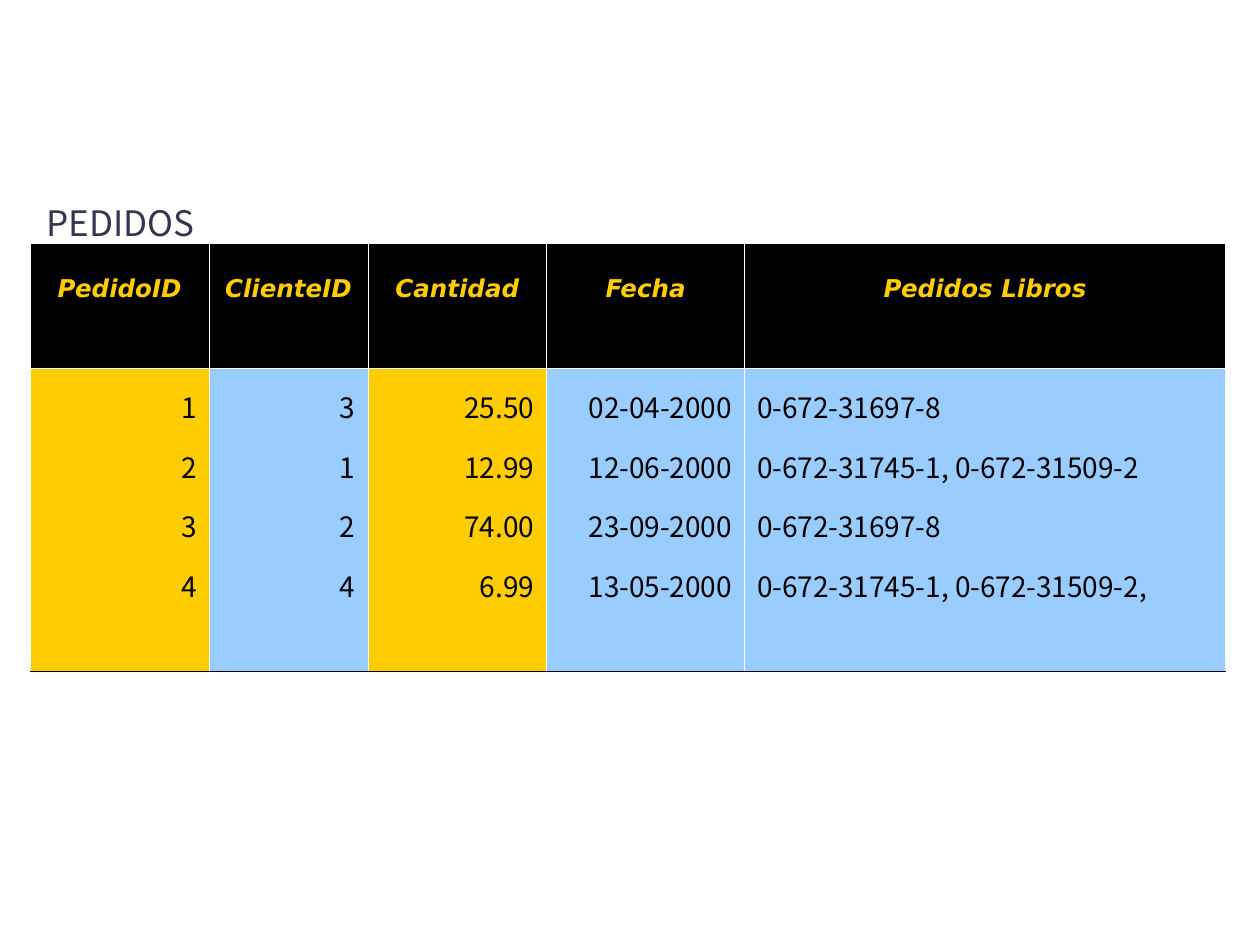
import dataclasses

import lxml.etree
import pptx
import pptx.dml.color
import pptx.enum.text
import pptx.oxml.ns
import pptx.util

Inches = pptx.util.Inches
Pt = pptx.util.Pt
Align = pptx.enum.text.PP_ALIGN
Anchor = pptx.enum.text.MSO_ANCHOR


@dataclasses.dataclass(frozen=True)
class TextStyle:
    font: str
    size: float
    color: str
    emphasis: bool = False
    space_before: float = 0
    line_spacing: float = 0


@dataclasses.dataclass(frozen=True)
class Theme:
    black: str = "000000"
    white: str = "FFFFFF"
    gold: str = "FFCC00"
    sky: str = "99CCFF"
    thin_line: float = 0.45
    thick_line: float = 1.08
    title: TextStyle = TextStyle("Noto Sans CJK KR", 20, "333651")
    header: TextStyle = TextStyle("DejaVu Sans", 14, "FFCC00", True, 3.5, 30)
    body: TextStyle = TextStyle("Noto Sans CJK KR", 16, "000000", False, 4, 30)


@dataclasses.dataclass(frozen=True)
class Column:
    heading: str
    width: float
    fill: str
    alignment: Align
    values: tuple


class SlideBuilder:
    def __init__(self, presentation, theme):
        self.theme = theme
        self.slide = presentation.slides.add_slide(presentation.slide_layouts[5])

    def set_text(self, text_frame, lines, style, alignment):
        text_frame.text = "\n".join(lines)
        for paragraph in text_frame.paragraphs:
            paragraph.alignment = alignment
            paragraph.space_before = Pt(style.space_before)
            if style.line_spacing:
                paragraph.line_spacing = Pt(style.line_spacing)
            for run in paragraph.runs:
                font = run.font
                font.name = style.font
                font.size = Pt(style.size)
                font.bold = font.italic = style.emphasis
                font.color.rgb = pptx.dml.color.RGBColor.from_string(style.color)

    def add_title(self, text, left, top, width, height):
        title = self.slide.shapes.title
        title.left, title.top = Inches(left), Inches(top)
        title.width, title.height = Inches(width), Inches(height)
        text_frame = title.text_frame
        text_frame.word_wrap = True
        text_frame.auto_size = pptx.enum.text.MSO_AUTO_SIZE.NONE
        text_frame.vertical_anchor = Anchor.MIDDLE
        self.set_text(text_frame, [text], self.theme.title, Align.LEFT)

    def add_border(self, cell, side, color, width):
        qn = pptx.oxml.ns.qn
        properties = cell._tc.get_or_add_tcPr()
        line = lxml.etree.SubElement(properties, qn(f"a:ln{side}"), w=str(Pt(width)))
        fill = lxml.etree.SubElement(line, qn("a:solidFill"))
        lxml.etree.SubElement(fill, qn("a:srgbClr"), val=color)

    def format_cell(self, cell, lines, style, alignment, fill, top, bottom):
        self.set_text(cell.text_frame, lines, style, alignment)
        cell.vertical_anchor = Anchor.TOP
        side_line = (self.theme.white, self.theme.thin_line)
        # Borders come before the fill in the cell properties
        for side, line in zip("LRTB", (side_line, side_line, top, bottom)):
            self.add_border(cell, side, *line)
        cell.fill.solid()
        cell.fill.fore_color.rgb = pptx.dml.color.RGBColor.from_string(fill)

    def add_table(self, columns, row_heights, left, top):
        theme = self.theme
        width = sum(column.width for column in columns)
        table = self.slide.shapes.add_table(
            len(row_heights), len(columns), Inches(left), Inches(top),
            Inches(width), Inches(sum(row_heights))).table
        table.first_row = table.horz_banding = False
        for row, height in zip(table.rows, row_heights):
            row.height = Inches(height)

        top_line = (theme.black, theme.thin_line)
        inner_line = (theme.white, theme.thin_line)
        bottom_line = (theme.black, theme.thick_line)
        for index, column in enumerate(columns):
            table.columns[index].width = Inches(column.width)
            self.format_cell(table.cell(0, index), [column.heading], theme.header,
                             Align.CENTER, theme.black, top_line, inner_line)
            self.format_cell(table.cell(1, index), column.values, theme.body,
                             column.alignment, column.fill, inner_line, bottom_line)


def main():
    presentation = pptx.Presentation()
    presentation.slide_width = Inches(10)
    presentation.slide_height = Inches(7.5)
    theme = Theme()
    builder = SlideBuilder(presentation, theme)

    # Title
    builder.add_title("PEDIDOS", 0.27, 1.47, 4.73, 0.59)

    # Orders table: one header row and one row holding all the orders
    columns = [
        Column("PedidoID", 1.42, theme.gold, Align.RIGHT, ("1", "2", "3", "4")),
        Column("ClienteID", 1.26, theme.sky, Align.RIGHT, ("3", "1", "2", "4")),
        Column("Cantidad", 1.42, theme.gold, Align.RIGHT,
               ("25.50", "12.99", "74.00", "6.99")),
        Column("Fecha", 1.57, theme.sky, Align.RIGHT,
               ("02-04-2000", "12-06-2000", "23-09-2000", "13-05-2000")),
        Column("Pedidos Libros", 3.82, theme.sky, Align.LEFT,
               ("0-672-31697-8", "0-672-31745-1, 0-672-31509-2",
                "0-672-31697-8", "0-672-31745-1, 0-672-31509-2,")),
    ]
    builder.add_table(columns, (0.98, 2.41), 0.24, 1.94)

    presentation.save("out.pptx")


if __name__ == "__main__":
    main()
